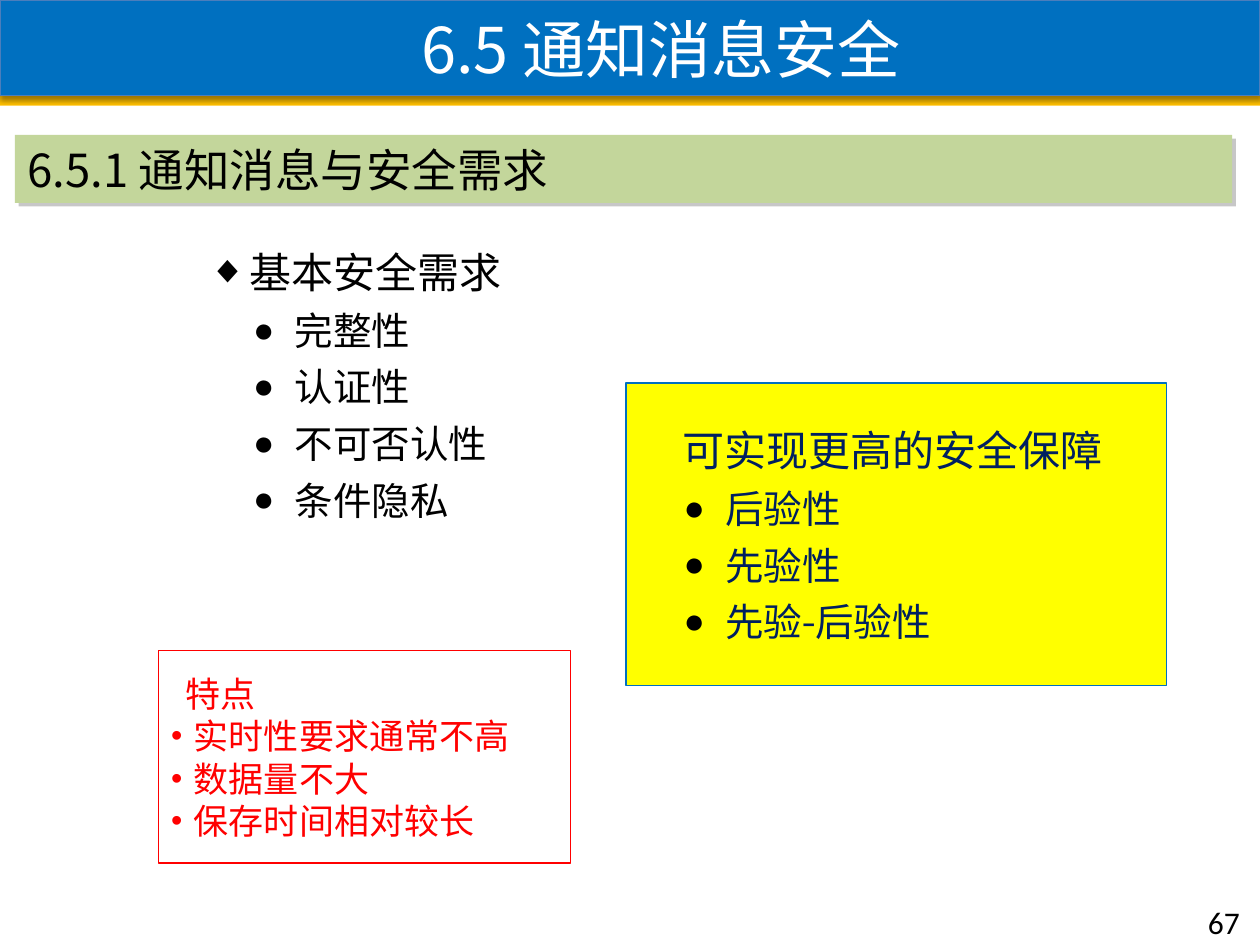
import pptx
import pptx.util
import pptx.dml.color
import pptx.enum.shapes
import pptx.enum.text
import pptx.oxml
import pptx.oxml.ns
from lxml import etree

Cm, Pt = pptx.util.Cm, pptx.util.Pt
ANCHOR = pptx.enum.text.MSO_ANCHOR
CJK = "Noto Sans CJK SC"

# Content
TITLE = [("6.5 ", CJK), ("通知消息安全", "Times New Roman")]
SUBTITLE = "6.5.1 通知消息与安全需求"
NEEDS = ("基本安全需求", ["完整性", "认证性", "不可否认性", "条件隐私"])
HIGHER = ("可实现更高的安全保障", ["后验性", "先验性", "先验-后验性"])
TRAITS = ("特点", ["实时性要求通常不高", "数据量不大", "保存时间相对较长"])
PAGE = "67"

# Paragraph styles: size, line height, space after (pt); left, first-line indent (cm); bullet
HEAD = dict(size=24, line=28.9, after=6, left=0.84, first=-0.84, bullet="◆")
PLAIN_HEAD = dict(HEAD, left=0.89, first=0, bullet=None)
ITEM = dict(size=22, line=26.3, after=6, left=1.75, first=-0.84, bullet="●")
TRAIT_HEAD = dict(size=20, line=24.2, after=0, left=0.3, first=0, bullet=None)
TRAIT = dict(TRAIT_HEAD, left=0.46, first=-0.46, bullet="•")


def rgb(color):
    return pptx.dml.color.RGBColor.from_string(color)


def sub(parent, tag, **attrs):
    el = etree.SubElement(parent, pptx.oxml.ns.qn("a:" + tag))
    for name, value in attrs.items():
        el.set(name, str(value))
    return el


def place(sp, left, top, width, height):
    sp.left, sp.top, sp.width, sp.height = Cm(left), Cm(top), Cm(width), Cm(height)


def paint(sp, fill=None, line=None):
    if fill:
        sp.fill.solid()
        sp.fill.fore_color.rgb = rgb(fill)
    else:
        sp.fill.background()
    if line:
        sp.line.color.rgb = rgb(line)
        sp.line.width = Pt(0.75)
    else:
        sp.line.fill.background()


def add_box(s, at, fill=None, line=None):
    sp = s.shapes.add_shape(pptx.enum.shapes.MSO_SHAPE.RECTANGLE, *map(Cm, at))
    sp.shadow.inherit = False
    paint(sp, fill, line)
    sp.text_frame.word_wrap = True
    sp.text_frame.vertical_anchor = ANCHOR.MIDDLE
    return sp


def add_shadow(sp, color, alpha, blur, dist, angle):
    sp.shadow.inherit = False
    effects = sp._element.spPr.find(pptx.oxml.ns.qn("a:effectLst"))
    shadow = sub(effects, "outerShdw", blurRad=Pt(blur), dist=Pt(dist),
                 dir=angle * 60000, algn="tl", rotWithShape=0)
    sub(sub(shadow, "srgbClr", val=color), "alpha", val=alpha * 1000)


def add_run(p, text, size, font, color):
    r = p.add_run()
    r.text = text
    r.font.size = Pt(size)
    r.font.name = font
    r.font.color.rgb = rgb(color)
    sub(r._r.get_or_add_rPr(), "ea", typeface=CJK)


def format_paragraph(p, style, bullet_color):
    pPr = p._p.get_or_add_pPr()
    pPr.set("marL", str(Cm(style["left"])))
    pPr.set("indent", str(Cm(style["first"])))
    if style["bullet"]:
        sub(sub(pPr, "buClr"), "srgbClr", val=bullet_color)
        sub(pPr, "buSzPct", val=92000)
        sub(pPr, "buFont", typeface="Arial")
        sub(pPr, "buChar", char=style["bullet"])
    else:
        sub(pPr, "buNone")
    p.alignment = pptx.enum.text.PP_ALIGN.LEFT
    p.line_spacing = Pt(style["line"])
    p.space_before = Pt(0)
    p.space_after = Pt(style["after"])


def fill_list(tf, content, head_style, item_style, font, color, bullet_color):
    head, items = content
    rows = [(head, head_style, 0)] + [(item, item_style, 1) for item in items]
    for i, (text, style, level) in enumerate(rows):
        p = tf.add_paragraph() if i else tf.paragraphs[0]
        p.level = level
        format_paragraph(p, style, bullet_color)
        add_run(p, text, style["size"], font, color)


def main():
    prs = pptx.Presentation()
    prs.slide_width, prs.slide_height = Cm(25.4), Cm(19.05)
    s = prs.slides.add_slide(prs.slide_layouts[1])
    title, body = s.shapes.title, s.placeholders[1]

    # Title bar above a gold strip
    strip = add_box(s, (0, 1.93, 25.4, 0.2), "FFC000")
    s.shapes._spTree.insert(2, strip._element)
    place(title, 0, 0, 25.4, 1.93)
    paint(title, "0070C0", "4B7EBC")
    add_shadow(title, "000000", 38, 3.1, 1.6, 90)
    tf = title.text_frame
    tf.auto_size = pptx.enum.text.MSO_AUTO_SIZE.NONE
    tf.vertical_anchor = ANCHOR.MIDDLE
    tf.margin_left = Cm(1.5)
    p = tf.paragraphs[0]
    p.alignment = pptx.enum.text.PP_ALIGN.CENTER
    for text, font in TITLE:
        add_run(p, text, 36, font, "FFFFFF")

    # Section heading
    sp = add_box(s, (0.3, 2.72, 24.54, 1.37), "C3D69B")
    add_shadow(sp, "808080", 43, 0, 3, 45)
    tf = sp.text_frame
    tf.margin_top = tf.margin_bottom = 0
    p = tf.paragraphs[0]
    p.alignment = pptx.enum.text.PP_ALIGN.LEFT
    add_run(p, SUBTITLE, 26, CJK, "000000")

    # Basic needs
    place(body, 3.94, 4.83, 7.65, 6.4)
    body.text_frame.auto_size = pptx.enum.text.MSO_AUTO_SIZE.NONE
    fill_list(body.text_frame, NEEDS, HEAD, ITEM, "Karla", "000000", "000000")

    # Higher assurance and traits
    sp = add_box(s, (12.62, 7.72, 10.9, 6.1), "FFFF00", "0070C0")
    fill_list(sp.text_frame, HIGHER, PLAIN_HEAD, ITEM, "Karla", "002060", "000000")
    sp = add_box(s, (3.2, 13.11, 8.3, 4.29), line="FF0000")
    fill_list(sp.text_frame, TRAITS, TRAIT_HEAD, TRAIT, "Arial", "FF0000", "FF0000")

    # Page number
    sp = s.shapes.add_textbox(Cm(24.1), Cm(18.08), Cm(1.6), Cm(0.99))
    sp.text_frame.word_wrap = True
    add_run(sp.text_frame.paragraphs[0], PAGE, 18, "Calibri", "000000")

    prs.save("out.pptx")


if __name__ == "__main__":
    main()
